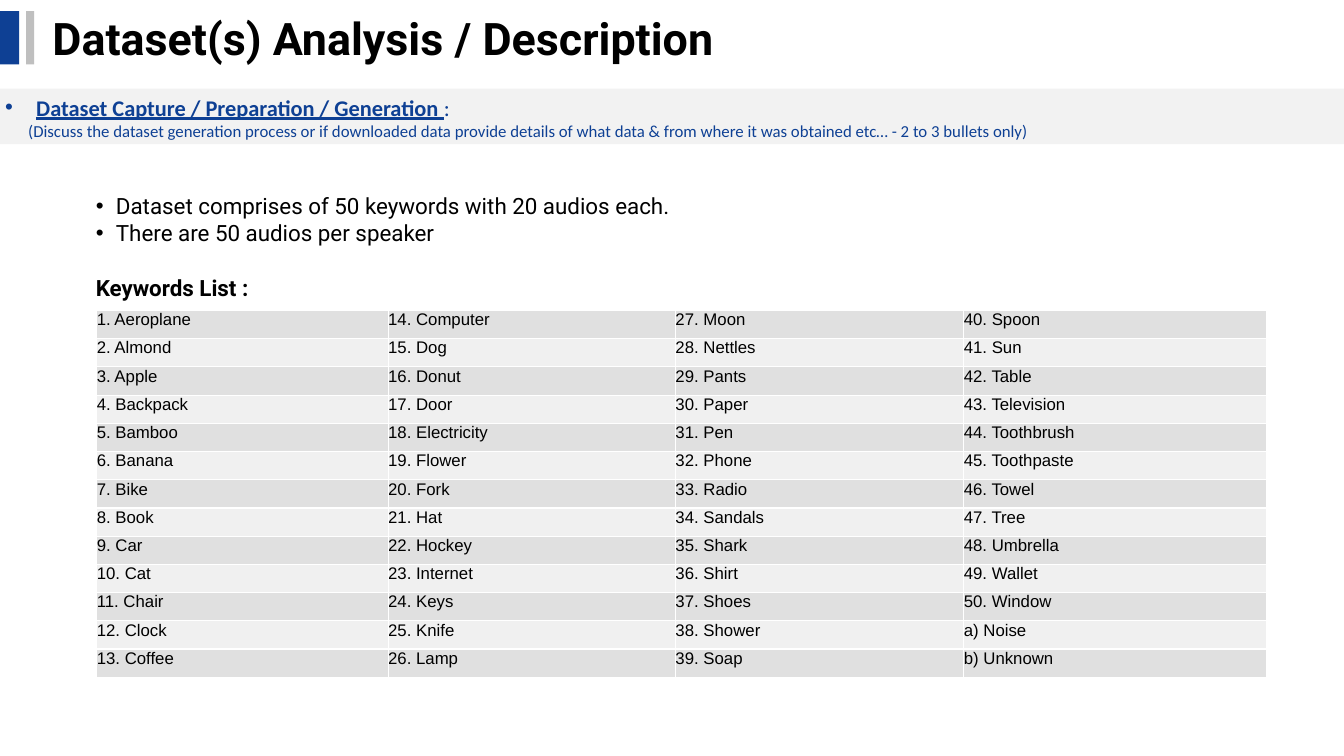
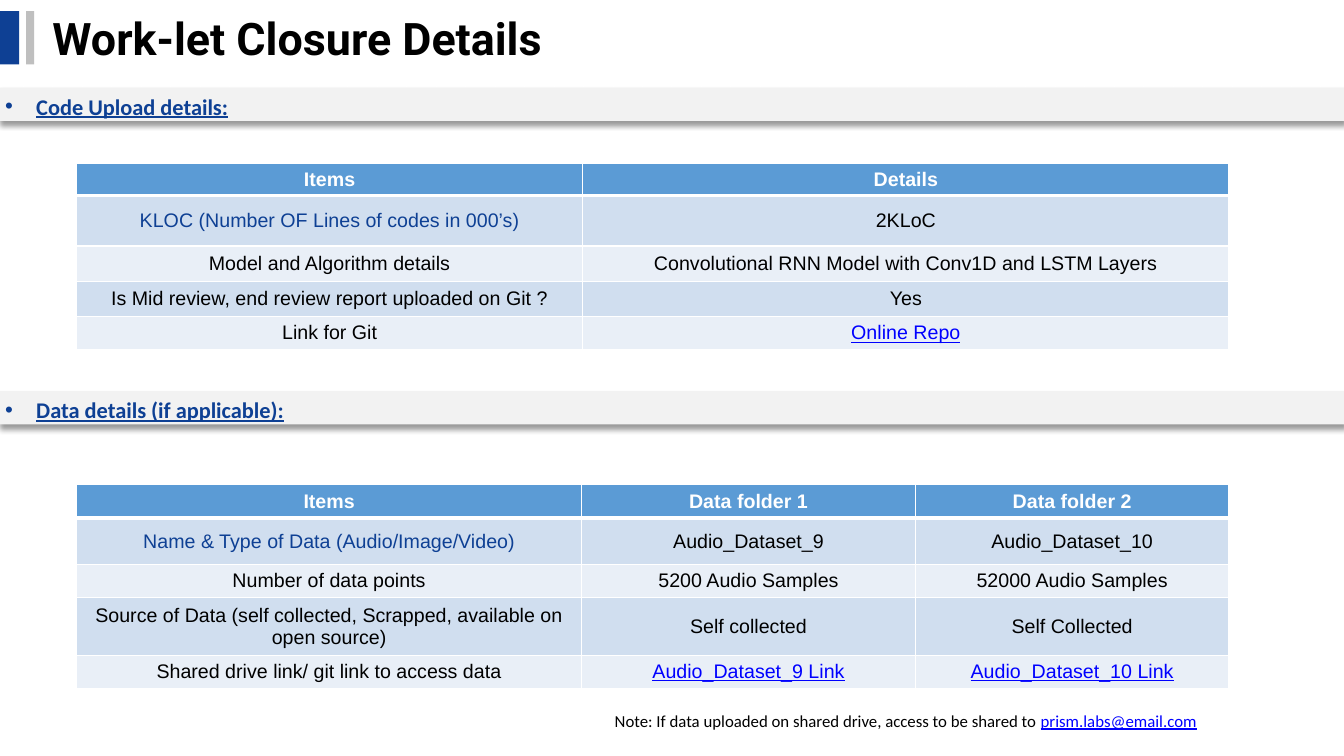
from lxml import etree
from pptx import Presentation
from pptx.dml.color import RGBColor
from pptx.enum.shapes import MSO_SHAPE
from pptx.enum.text import MSO_ANCHOR, MSO_AUTO_SIZE, PP_ALIGN
from pptx.oxml.ns import qn
from pptx.util import Inches, Pt

RECTANGLE = MSO_SHAPE.RECTANGLE
TOP, MIDDLE = MSO_ANCHOR.TOP, MSO_ANCHOR.MIDDLE
NO_FIT = MSO_AUTO_SIZE.NONE
LEFT, CENTER, RIGHT, JUSTIFY = PP_ALIGN.LEFT, PP_ALIGN.CENTER, PP_ALIGN.RIGHT, PP_ALIGN.JUSTIFY

COLORS = {
    "blue": "0E4094", "silver": "BFBFBF", "band": "F2F2F2",
    "black": "000000", "white": "FFFFFF", "link": "0000FF",
    "header": "5B9BD5", "blue dark": "D0DEEF", "blue light": "E9EFF7",
    "gray dark": "E0E0E0", "gray light": "F0F0F0",
}
SLIDE_WIDTH, SLIDE_HEIGHT = 13.33, 7.5
TITLE_AND_BODY, TITLE_ONLY = 1, 5
INSET = 0.05


def rgb(name):
    return RGBColor.from_string(COLORS[name])


def add_element(parent, tag, **attributes):
    return etree.SubElement(parent, qn(tag), attributes)


def write(para, text, size=16, font="Calibri", color="black", bold=False,
          underline=False, align=None, indent=None, bullet=False, before=0):
    """Add a run to a paragraph; align also sets the paragraph's own format."""
    if align is not None:
        para.alignment = align
        para.space_before = Pt(before)
        para.line_spacing = 1.0
        indent = indent or 0
        properties = para._p.get_or_add_pPr()
        properties.set("marL", str(Inches(indent)))
        properties.set("indent", str(Inches(-indent if bullet else 0)))
        if bullet:
            add_element(properties, "a:buFont", typeface="Arial")
            add_element(properties, "a:buChar", char="•")
        else:
            add_element(properties, "a:buNone")
    span = para.add_run()
    span.text = text
    span.font.size = Pt(size)
    span.font.name = font
    span.font.bold = bold
    span.font.underline = underline
    span.font.color.rgb = rgb(color)


def set_borders(cell, top=1, bottom=1):
    """Draw white cell borders, with widths in points."""
    properties = cell._tc.get_or_add_tcPr()
    widths = {"a:lnL": 1, "a:lnR": 1, "a:lnT": top, "a:lnB": bottom}
    for position, (tag, width) in enumerate(widths.items()):
        line = etree.Element(qn(tag), w=str(Pt(width)))
        fill = add_element(line, "a:solidFill")
        add_element(fill, "a:srgbClr", val=COLORS["white"])
        properties.insert(position, line)


class SlideBuilder:
    def __init__(self):
        self.deck = Presentation()
        self.deck.slide_width = Inches(SLIDE_WIDTH)
        self.deck.slide_height = Inches(SLIDE_HEIGHT)
        self.page = None

    def new_page(self, title, layout):
        self.page = self.deck.slides.add_slide(self.deck.slide_layouts[layout])
        self.rectangle(0, 0.11, 0.19, 0.53, "blue")
        self.rectangle(0.26, 0.11, 0.08, 0.53, "silver")
        para = self.frame(self.page.shapes.title, 0.47, 0.06, 10.18, 0.63, MIDDLE)
        write(para, title, size=32, font="Roboto", bold=True, align=JUSTIFY)

    def frame(self, box, left, top, width, height, anchor=TOP):
        """Place a text shape and return its first paragraph."""
        box.left, box.top = Inches(left), Inches(top)
        box.width, box.height = Inches(width), Inches(height)
        frame = box.text_frame
        frame.word_wrap = True
        frame.auto_size = NO_FIT
        frame.vertical_anchor = anchor
        frame.margin_left = frame.margin_right = Inches(INSET)
        frame.margin_top = frame.margin_bottom = Inches(INSET)
        return frame.paragraphs[0]

    def rectangle(self, left, top, width, height, color):
        shape = self.page.shapes.add_shape(
            RECTANGLE, Inches(left), Inches(top), Inches(width), Inches(height))
        shape.shadow.inherit = False
        shape.fill.solid()
        shape.fill.fore_color.rgb = rgb(color)
        shape.line.fill.background()
        return shape

    def band(self, top, height, heading, suffix="", hint="", shadow=False):
        """Full-width section heading with an optional hint line."""
        band = self.rectangle(0, top, SLIDE_WIDTH, height, "band")
        para = self.frame(band, 0, top, SLIDE_WIDTH, height)
        write(para, heading, color="blue", bold=True, underline=True,
              align=JUSTIFY, indent=0.31, bullet=True)
        if suffix:
            write(para, suffix, color="blue")
        if hint:
            write(band.text_frame.add_paragraph(), hint, size=12, color="blue",
                  align=JUSTIFY, indent=0.23)
        if shadow:
            effects = band._element.spPr.find(qn("a:effectLst"))
            outer = add_element(effects, "a:outerShdw", blurRad=str(Pt(4)),
                                dist=str(Pt(3)), dir="5400000", algn="t", rotWithShape="0")
            tint = add_element(outer, "a:srgbClr", val=COLORS["black"])
            add_element(tint, "a:alpha", val="40000")

    def body(self, left, top, width, height, bullets, heading):
        """Bullet list followed by a bold heading."""
        box = self.page.placeholders[1]
        para = self.frame(box, left, top, width, height)
        for number, text in enumerate(bullets):
            if number:
                para = box.text_frame.add_paragraph()
            write(para, text, font="Roboto", align=JUSTIFY, indent=0.2, bullet=True)
        write(box.text_frame.add_paragraph(), heading, font="Roboto", bold=True,
              align=JUSTIFY, before=20)

    def note(self, left, top, width, height, text, address):
        box = self.page.shapes.add_textbox(0, 0, 0, 0)
        para = self.frame(box, left, top, width, height)
        write(para, text, size=12, align=RIGHT)
        write(para, address, size=12, color="link", underline=True)

    def grid(self, left, top, widths, heights):
        """Add a table with the given column widths and row heights."""
        table = self.page.shapes.add_table(
            len(heights), len(widths), Inches(left), Inches(top),
            Inches(sum(widths)), Inches(sum(heights))).table
        for column, width in zip(table.columns, widths):
            column.width = Inches(width)
        for row, height in zip(table.rows, heights):
            row.height = Inches(height)
        return table

    def cell(self, cell, text, fill, inset, anchor, borders, **style):
        cell.margin_left = cell.margin_right = Inches(inset)
        cell.margin_top = cell.margin_bottom = Inches(inset)
        cell.vertical_anchor = anchor
        cell.fill.solid()
        cell.fill.fore_color.rgb = rgb(fill)
        set_borders(cell, *borders)
        write(cell.text_frame.paragraphs[0], text, font="Arial", **style)

    def keyword_table(self, left, top, widths, row_height, entries):
        """Fill the columns from top to bottom."""
        row_count = len(entries) // len(widths)
        table = self.grid(left, top, widths, [row_height] * row_count)
        for index, text in enumerate(entries):
            column, row = divmod(index, row_count)
            fill = "gray light" if row % 2 else "gray dark"
            self.cell(table.cell(row, column), text, fill, 0, TOP, (1, 1),
                      size=12, align=LEFT)

    def detail_table(self, left, top, widths, heights, rows):
        """Header row, a blue first label and links in the last row."""
        table = self.grid(left, top, widths, heights)
        for row, texts in enumerate(rows):
            for column, text in enumerate(texts):
                header = row == 0
                link = row == len(rows) - 1 and column > 0
                fill, color = "blue dark" if row % 2 else "blue light", "black"
                if header:
                    fill, color = "header", "white"
                elif link:
                    color = "link"
                elif row == 1 and column == 0:
                    color = "blue"
                borders = (3 if row == 1 else 1, 3 if header else 1)
                self.cell(table.cell(row, column), text, fill, INSET, MIDDLE, borders,
                          size=14, color=color, bold=header, underline=link, align=CENTER)


KEYWORDS = """Aeroplane Almond Apple Backpack Bamboo Banana Bike Book Car Cat Chair Clock
Coffee Computer Dog Donut Door Electricity Flower Fork Hat Hockey Internet Keys Knife Lamp
Moon Nettles Pants Paper Pen Phone Radio Sandals Shark Shirt Shoes Shower Soap Spoon Sun
Table Television Toothbrush Toothpaste Towel Tree Umbrella Wallet Window""".split()

CODE_ROWS = [
    ("Items", "Details"),
    ("KLOC (Number OF Lines of codes in 000’s)", "2KLoC"),
    ("Model and Algorithm details", "Convolutional RNN Model with Conv1D and LSTM Layers"),
    ("Is Mid review, end review report uploaded on Git ?", "Yes"),
    ("Link for Git", "Online Repo"),
]
DATA_ROWS = [
    ("Items", "Data folder 1", "Data folder 2"),
    ("Name & Type of Data (Audio/Image/Video)", "Audio_Dataset_9", "Audio_Dataset_10"),
    ("Number of data points", "5200 Audio Samples", "52000 Audio Samples"),
    ("Source of Data (self collected, Scrapped, available on open source)",
     "Self collected", "Self Collected"),
    ("Shared drive link/ git link to access data",
     "Audio_Dataset_9 Link", "Audio_Dataset_10 Link"),
]


def main():
    builder = SlideBuilder()

    # Dataset description
    builder.new_page("Dataset(s) Analysis / Description", TITLE_AND_BODY)
    builder.band(0.88, 0.55, "Dataset Capture / Preparation / Generation ", suffix=":",
                 hint="(Discuss the dataset generation process or if downloaded data provide "
                      "details of what data & from where it was obtained etc… "
                      "- 2 to 3 bullets only)")
    builder.body(0.9, 1.86, 10.92, 1.16,
                 ["Dataset comprises of 50 keywords with 20 audios each.",
                  "There are 50 audios per speaker"], "Keywords List :")
    entries = [f"{number}. {word}" for number, word in enumerate(KEYWORDS, 1)]
    builder.keyword_table(0.96, 3.08, [2.89, 2.85, 2.86, 3], 0.28,
                          entries + ["a) Noise", "b) Unknown"])

    # Closure details
    builder.new_page("Work-let Closure Details", TITLE_ONLY)
    builder.band(0.87, 0.33, "Code Upload details:", shadow=True)
    builder.detail_table(0.76, 1.62, [5.02, 6.41], [0.32, 0.5, 0.35, 0.35, 0.33], CODE_ROWS)
    builder.band(3.88, 0.33, "Data details (if applicable):", shadow=True)
    builder.detail_table(0.76, 4.81, [5.01, 3.31, 3.11],
                         [0.33, 0.46, 0.33, 0.57, 0.33], DATA_ROWS)
    builder.note(3.62, 7, 8.3, 0.27,
                 "Note: If data uploaded on shared drive, access to be shared to ",
                 "prism.labs@email.com")

    builder.deck.save("out.pptx")


if __name__ == "__main__":
    main()
